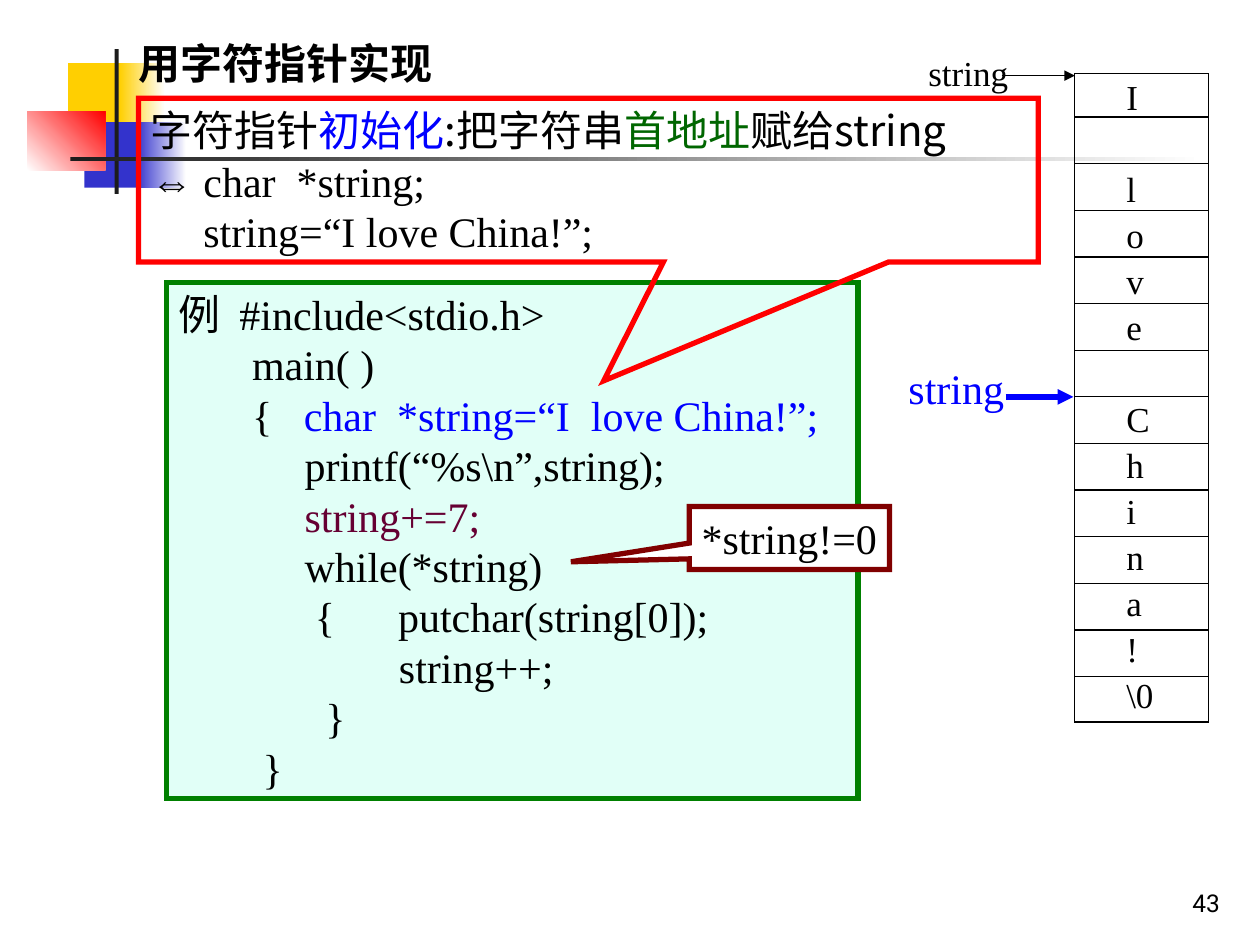
"""Builds a slide on initialising and stepping a character pointer in C."""
from dataclasses import dataclass
from typing import NamedTuple, Optional

from lxml.etree import SubElement
from pptx import Presentation
from pptx.dml.color import RGBColor
from pptx.enum.shapes import MSO_CONNECTOR as Conn, MSO_SHAPE as Geom
from pptx.enum.text import MSO_ANCHOR as Anchor, MSO_AUTO_SIZE as Fit, PP_ALIGN as Align
from pptx.oxml.ns import qn
from pptx.util import Pt

SERIF, HAN, SANS = "Times New Roman", "Noto Sans CJK SC", "Roboto"
BLACK, WHITE, BLUE = "000000", "FFFFFF", "0000FF"


class Box(NamedTuple):
    x: float
    y: float
    w: float
    h: float


class Run(NamedTuple):
    text: str
    color: str = BLACK
    font: str = SERIF


@dataclass
class Block:
    box: Box
    fill: str
    fade: Optional[str] = None
    angle: float = 0


@dataclass
class Style:
    size: float = 24
    align: Align = Align.LEFT
    anchor: Anchor = Anchor.TOP
    wrap: bool = False
    fit: Fit = Fit.SHAPE_TO_FIT_TEXT
    bold: bool = False


DECOR = [
    Block(Box(38.9, 36, 34.6, 37.4), "FFCF01"),
    Block(Box(68.4, 36, 25.9, 37.4), "FFCF01", WHITE),
    Block(Box(48.2, 69.8, 33.1, 37.4), "3333CC"),
    Block(Box(77.8, 69.8, 28.8, 37.4), "3333CC", WHITE),
    Block(Box(15.5, 63.7, 44.6, 33.5), WHITE, "FF0000", 45),
    Block(Box(65.6, 28, 2.2, 82.8), "1C1C1C"),
    Block(Box(40.3, 90, 648, 2.2), "1C1C1C", WHITE),
]
CODE = [
    [Run("例  #include<stdio.h>")],
    [Run("       main( )")],
    [Run("       {   "), Run("char  *string=“I  love China!”;", BLUE)],
    [Run("            printf(“%s\\n”,string);")],
    [Run("            "), Run("string+=7;", "660033")],
    [Run("            while(*string)")],
    [Run("             {      putchar(string[0]);")],
    [Run("                     string++;")],
    [Run("              }")],
    [Run("        }")],
]
INIT = [
    [Run("字符指针", BLACK, HAN), Run("初始化", BLUE, HAN), Run(":把字符串", BLACK, HAN),
     Run("首地址", "006600", HAN), Run("赋给string", BLACK, HAN)],
    [Run("⇔", BLACK, "Arial"), Run(" char  *string;")],
    [Run("     string=“I love China!”;")],
]
CELLS = [*"I love China!", "\\0"]
MEMORY = Box(614.2, 41.8, 76.3, 370.8)
CENTERED = Style(align=Align.CENTER, anchor=Anchor.MIDDLE)
SMALL = Style(size=20)


def rgb(color: str) -> RGBColor:
    return RGBColor.from_string(color)


def place(box: Box) -> list:
    return [Pt(v) for v in box]


def write(sp, paras: list, style: Style) -> None:
    tf = sp.text_frame
    tf.word_wrap, tf.auto_size = style.wrap, style.fit
    tf.vertical_anchor = style.anchor
    for i, runs in enumerate(paras):
        p = tf.add_paragraph() if i else tf.paragraphs[0]
        p.alignment = style.align
        for text, color, font in runs:
            r = p.add_run()
            r.text = text
            r.font.size, r.font.bold, r.font.name = Pt(style.size), style.bold, font
            r.font.color.rgb = rgb(color)
            SubElement(r.font._element, qn("a:ea")).set("typeface", HAN)


def add_text(s, box: Box, run: Run, style: Style) -> None:
    write(s.shapes.add_textbox(*place(box)), [[run]], style)


def add_block(s, block: Block) -> None:
    sp = s.shapes.add_shape(Geom.RECTANGLE, *place(block.box))
    sp.shadow.inherit = False
    sp.line.fill.background()
    if block.fade is None:
        sp.fill.solid()
        sp.fill.fore_color.rgb = rgb(block.fill)
        return
    sp.fill.gradient()
    sp.fill.gradient_angle = block.angle
    for stop, color in zip(sp.fill.gradient_stops, (block.fill, block.fade)):
        stop.color.rgb = rgb(color)


def add_frame(s, geom: Geom, box: Box, line: str, width: float,
              fill: Optional[str] = None, tip: tuple = ()):
    sp = s.shapes.add_shape(geom, *place(box))
    sp.shadow.inherit = False
    sp.line.color.rgb, sp.line.width = rgb(line), Pt(width)
    SubElement(sp.line._get_or_add_ln(), qn("a:miter")).set("lim", "800000")
    if fill:
        sp.fill.solid()
        sp.fill.fore_color.rgb = rgb(fill)
    else:
        sp.fill.background()
    for i, value in enumerate(tip):
        sp.adjustments[i] = value
    return sp


def add_line(s, x1: float, x2: float, y: float, color: str = BLACK,
             width: float = 0.75, arrow: bool = False) -> None:
    c = s.shapes.add_connector(Conn.STRAIGHT, Pt(x1), Pt(y), Pt(x2), Pt(y))
    c.line.color.rgb, c.line.width = rgb(color), Pt(width)
    if arrow:
        SubElement(c.line._get_or_add_ln(), qn("a:tailEnd")).set("type", "triangle")
    SubElement(c.element.spPr, qn("a:effectLst"))


def add_title(s) -> None:
    title = s.shapes.title
    title.left, title.top, title.width, title.height = place(Box(0, 18, 677.5, 42.5))
    write(title, [[Run("用字符指针实现", BLACK, SANS)]],
          Style(wrap=True, fit=Fit.NONE, bold=True))
    pPr = title.text_frame.paragraphs[0]._p.get_or_add_pPr()
    pPr.set("marL", str(Pt(90)))
    pPr.set("indent", str(Pt(-18)))
    title.element.getparent().append(title.element)


def add_memory(s) -> None:
    add_frame(s, Geom.RECTANGLE, MEMORY, BLACK, 0.75)
    for i, char in enumerate(CELLS):
        if i:
            add_line(s, MEMORY.x, MEMORY.x + MEMORY.w, 40.3 + 26.64 * i)
        if char != " ":
            width = 16 + 8 * len(char)
            add_text(s, Box(636.5, 39.6 + 26.28 * i, width, 31.7), Run(char), SMALL)
    add_line(s, 572.4, MEMORY.x, 43.2, arrow=True)
    add_text(s, Box(523.4, 25.9, 59.8, 31.7), Run("string"), SMALL)


def main() -> None:
    prs = Presentation()
    prs.slide_width, prs.slide_height = Pt(720), Pt(540)
    s = prs.slides.add_slide(prs.slide_layouts[5])
    for block in DECOR:
        add_block(s, block)
    add_title(s)
    code = add_frame(s, Geom.RECTANGLE, Box(95, 161.3, 395.3, 295.2), "008000", 3, "E1FFF7")
    write(code, CODE, Style(wrap=True))
    add_memory(s)
    init = add_frame(s, Geom.RECTANGULAR_CALLOUT, Box(79.2, 56.2, 514.1, 93.6),
                     "FF0000", 3, tip=(0.017, 1.225))
    write(init, INIT, Style(anchor=Anchor.MIDDLE))
    add_line(s, 574.6, 613.4, 226.8, BLUE, 3, arrow=True)
    add_text(s, Box(511.9, 203.8, 69.1, 36), Run("string", BLUE), CENTERED)
    test = add_frame(s, Geom.RECTANGULAR_CALLOUT, Box(393.8, 289.4, 114.5, 36),
                     "800000", 3, WHITE, (-1.09, 0.38))
    write(test, [[Run("*string!=0")]], CENTERED)
    add_text(s, Box(554.4, 491.8, 149.8, 36), Run("43", BLACK, SANS),
             Style(14, Align.RIGHT, Anchor.BOTTOM, True, Fit.NONE))
    prs.save("out.pptx")


if __name__ == "__main__":
    main()
